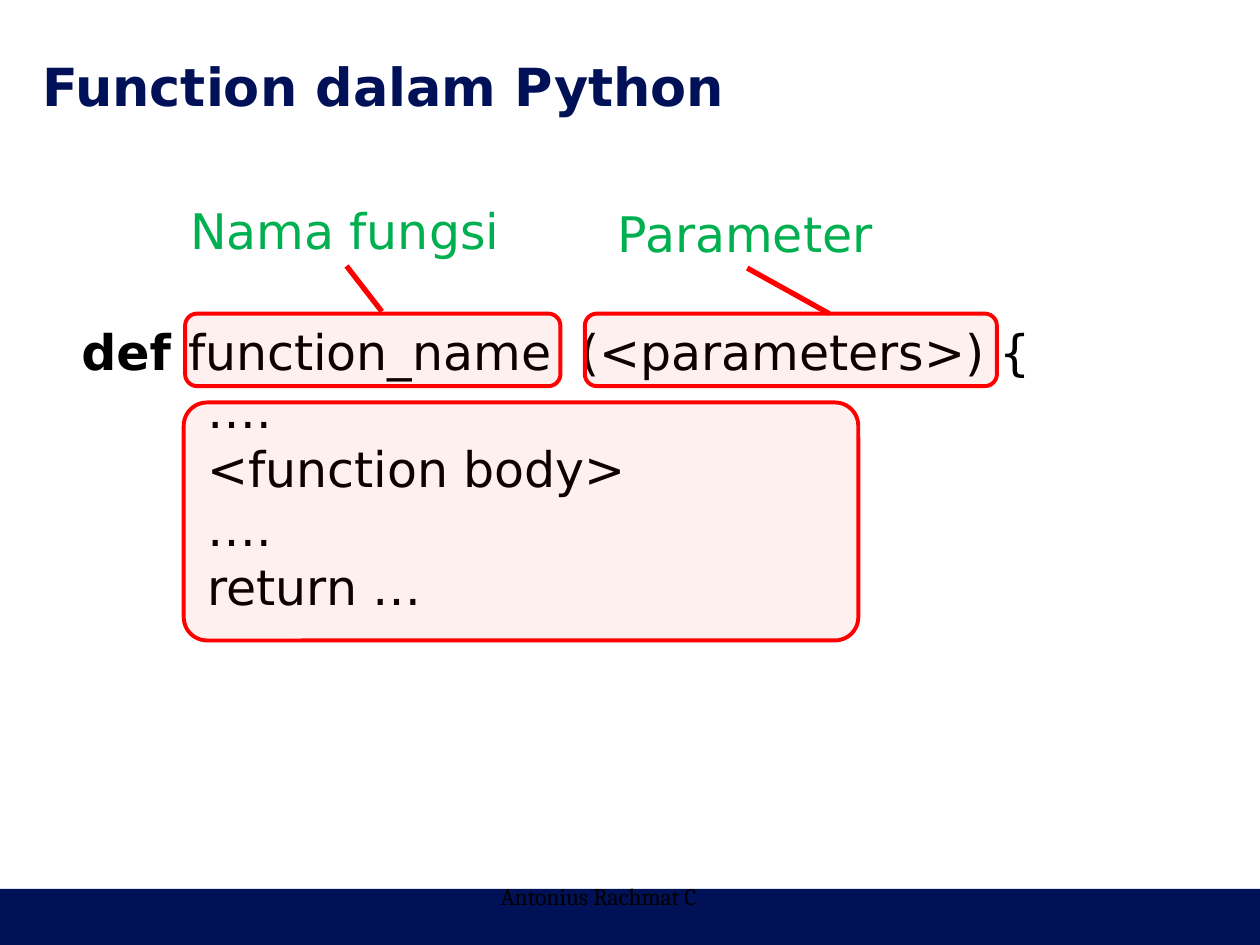
from dataclasses import dataclass

from lxml import etree
from pptx import Presentation
from pptx.dml.color import RGBColor
from pptx.enum.shapes import MSO_CONNECTOR, MSO_SHAPE
from pptx.enum.text import MSO_ANCHOR
from pptx.oxml.ns import qn
from pptx.util import Pt

RECT, ROUNDED = MSO_SHAPE.RECTANGLE, MSO_SHAPE.ROUNDED_RECTANGLE
STRAIGHT = MSO_CONNECTOR.STRAIGHT
TOP, MIDDLE = MSO_ANCHOR.TOP, MSO_ANCHOR.MIDDLE


@dataclass(frozen=True)
class Theme:
    navy: str = "001158"
    black: str = "000000"
    green: str = "00B050"
    red: str = "FF0000"
    sans: str = "DejaVu Sans"
    serif: str = "Cambria"
    title: float = 30
    body: float = 28
    footer: float = 13.5
    outline: float = 2.25
    pointer: float = 3
    tint: int = 6


T = Theme()
BODY = {"name": T.sans, "size": Pt(T.body)}


def add_run(p, text, color, **font):
    r = p.add_run()
    r.text = text
    r.font.color.rgb = RGBColor.from_string(color)
    for key, value in font.items():
        setattr(r.font, key, value)


def add_text_box(s, box, inset=None, anchor=TOP):
    tf = s.shapes.add_textbox(*map(Pt, box)).text_frame
    tf.word_wrap = True
    tf.vertical_anchor = anchor
    if inset is not None:
        for side in ("left", "top", "right", "bottom"):
            setattr(tf, f"margin_{side}", Pt(inset))
    return tf


def add_bar(s, box):
    sp = s.shapes.add_shape(RECT, *map(Pt, box))
    sp.shadow.inherit = False
    sp.fill.solid()
    sp.fill.fore_color.rgb = RGBColor.from_string(T.navy)
    sp.line.fill.background()


def add_highlight(s, box, radius=0.167):
    """Red outline with a faint red tint."""
    sp = s.shapes.add_shape(ROUNDED, *map(Pt, box))
    sp.adjustments[0] = radius
    sp.shadow.inherit = False
    sp.fill.solid()
    sp.fill.fore_color.rgb = RGBColor.from_string(T.red)
    color = sp.fill._xPr.find(qn("a:solidFill"))[0]
    etree.SubElement(color, qn("a:alpha"), val=str(T.tint * 1000))
    sp.line.color.rgb = RGBColor.from_string(T.red)
    sp.line.width = Pt(T.outline)


def add_pointer(s, start, end):
    line = s.shapes.add_connector(STRAIGHT, *map(Pt, start + end))
    line.line.color.rgb = RGBColor.from_string(T.red)
    line.line.width = Pt(T.pointer)
    etree.SubElement(line._element.spPr, qn("a:effectLst"))


def add_callout(s, label, label_box, frame, start, end):
    add_highlight(s, frame)
    add_pointer(s, start, end)
    add_run(add_text_box(s, label_box).paragraphs[0], label, T.green, **BODY)


def add_code(s, box, body_lines):
    tf = add_text_box(s, box)
    # Signature, with a tab stop before the parameters
    p = tf.paragraphs[0]
    tabs = etree.SubElement(p._p.get_or_add_pPr(), qn("a:tabLst"))
    etree.SubElement(tabs, qn("a:tab"), pos=str(Pt(285)), algn="l")
    add_run(p, "def ", T.black, bold=True, **BODY)
    add_run(p, "function_name\t(<parameters>) {", T.black, **BODY)
    # Indented body
    for text in body_lines:
        p = tf.add_paragraph()
        p._p.get_or_add_pPr().set("marL", str(Pt(72)))
        add_run(p, text, T.black, **BODY)


def main():
    prs = Presentation()
    prs.slide_width, prs.slide_height = Pt(720), Pt(540)
    s = prs.slides.add_slide(prs.slide_layouts[6])

    # Frame of the slide
    add_bar(s, (0, 508, 720, 32))
    tf = add_text_box(s, (24, 32, 672, 34), inset=0, anchor=MIDDLE)
    add_run(tf.paragraphs[0], "Function dalam Python", T.navy,
            name=T.sans, size=Pt(T.title), bold=True)
    tf = add_text_box(s, (279, 500.5, 441, 29))
    add_run(tf.paragraphs[0], "Antonius Rachmat C", T.black,
            name=T.serif, size=Pt(T.footer))

    # Code and its marked parts
    add_code(s, (39.5, 180, 570, 211),
             ("….", "<function body>", "….", "return …"))
    add_highlight(s, (105, 230, 385.5, 136), radius=0.098)
    add_callout(s, "Nama fungsi", (101.5, 111, 193, 41),
                (105.75, 179.2, 214.5, 41.5), (218.2, 178), (198, 152))
    add_callout(s, "Parameter", (346, 112.5, 162, 41),
                (334.2, 179.2, 235.5, 41.5), (473.8, 179.2), (427, 153.2))

    prs.save("out.pptx")


main()
